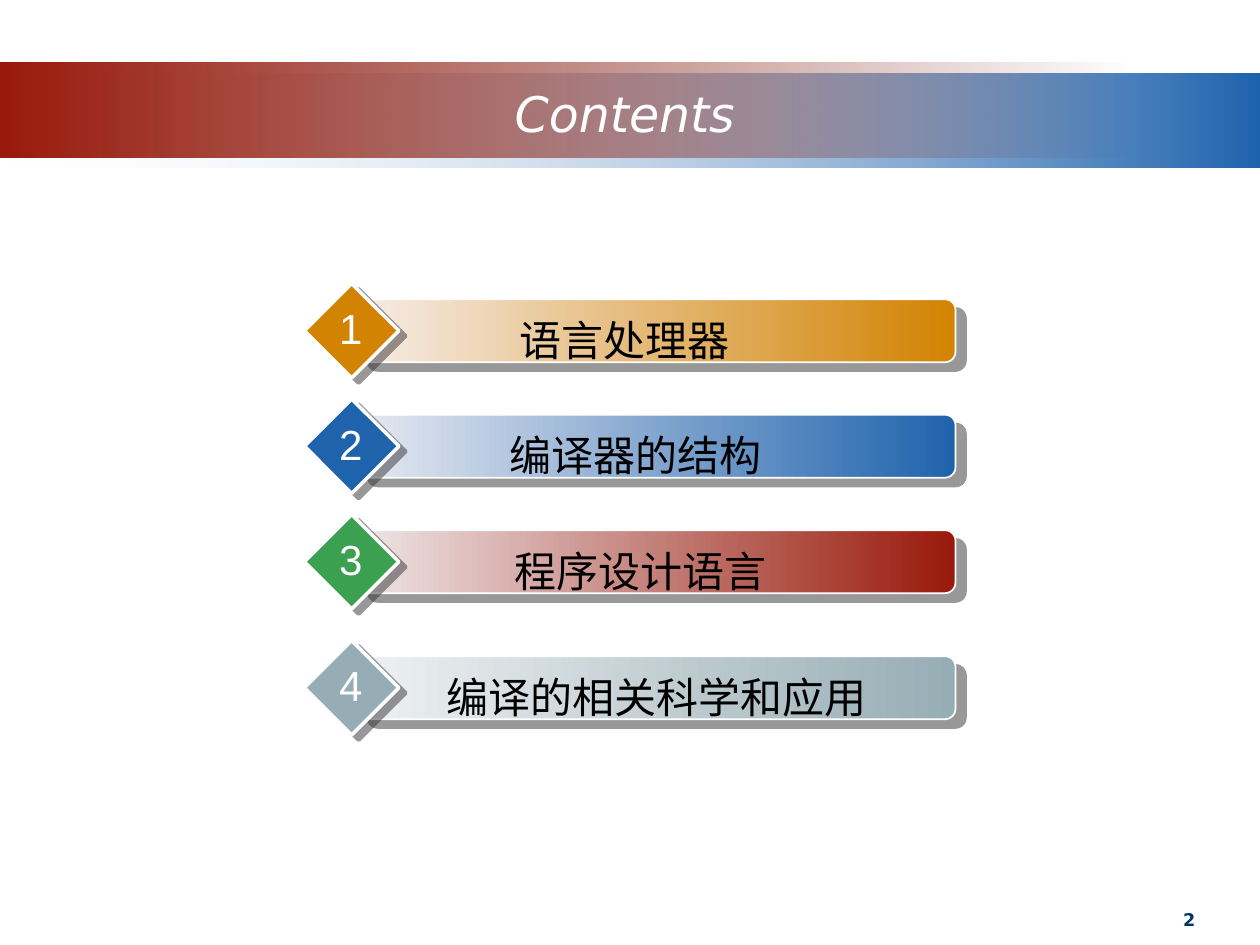
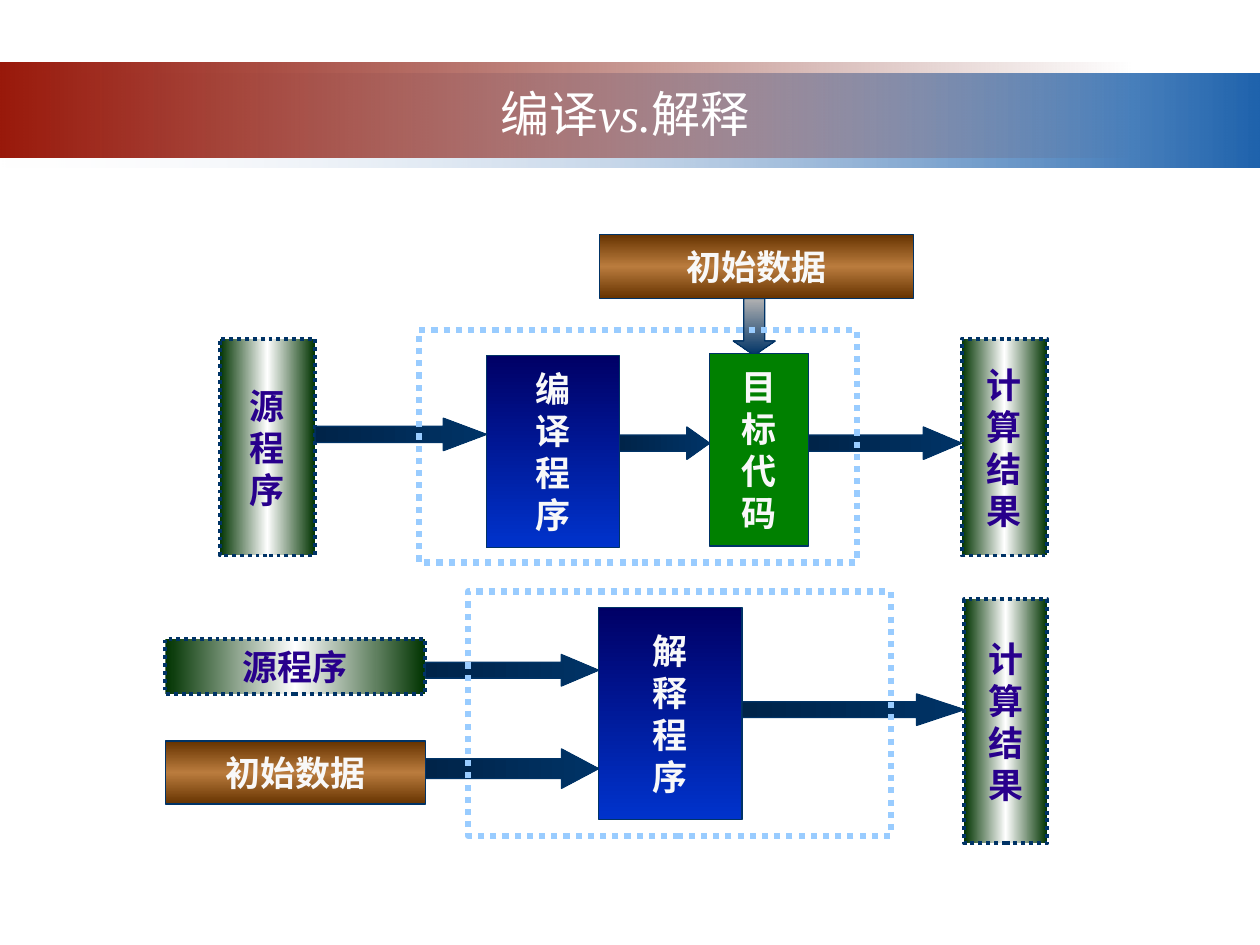
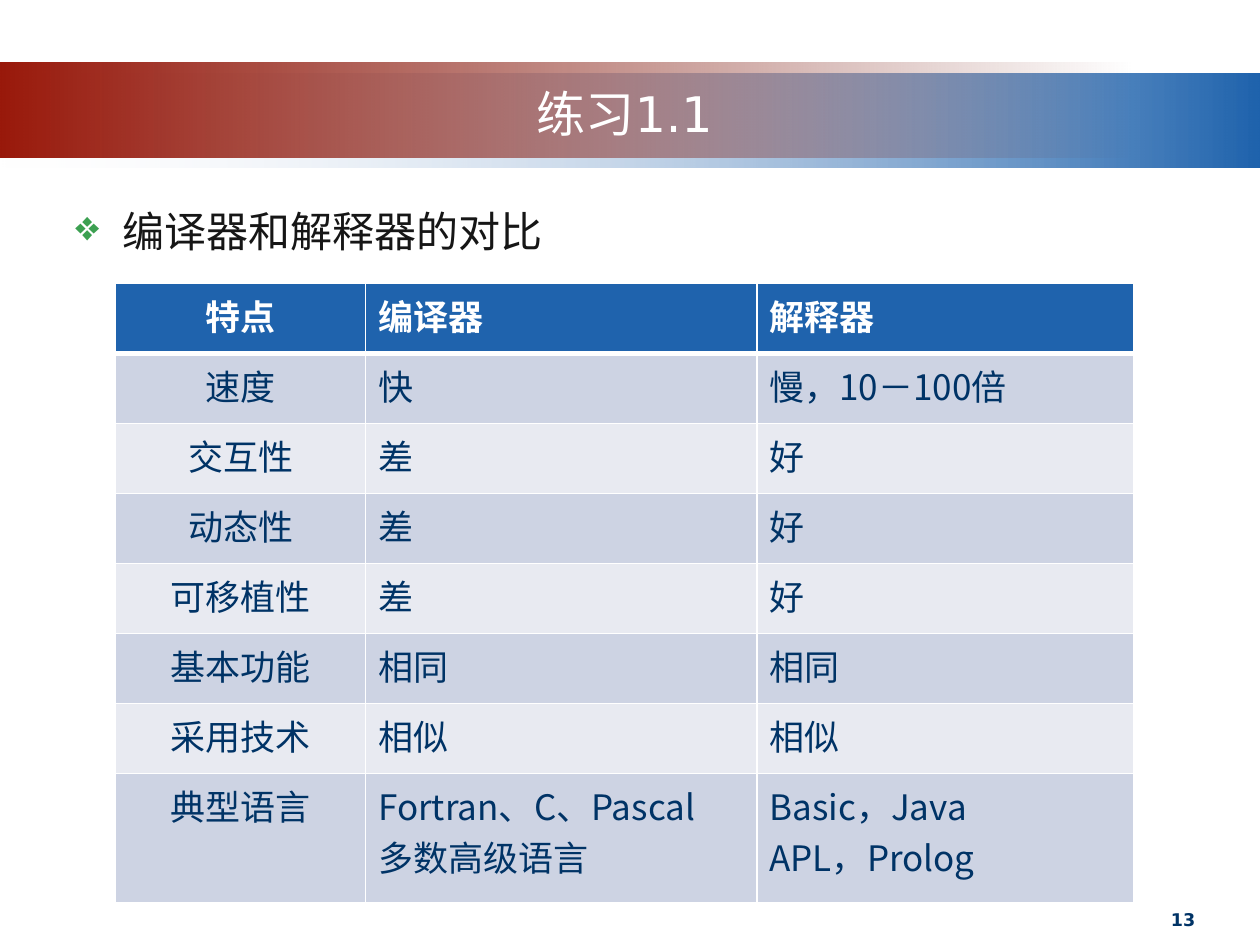
import pptx
import pptx.dml.color
import pptx.enum.dml
import pptx.enum.shapes
import pptx.enum.text
import pptx.oxml.ns
import pptx.util
from lxml import etree

Pt = pptx.util.Pt
RGBColor = pptx.dml.color.RGBColor
SHAPE = pptx.enum.shapes.MSO_SHAPE
ALIGN = pptx.enum.text.PP_ALIGN
ANCHOR = pptx.enum.text.MSO_ANCHOR
SYS_DOT = pptx.enum.dml.MSO_LINE.ROUND_DOT
qn = pptx.oxml.ns.qn

WHITE = RGBColor(0xFF, 0xFF, 0xFF)
BLACK = RGBColor(0, 0, 0)
NAVY = RGBColor(0x00, 0x33, 0x66)
BLUE = RGBColor(0x1F, 0x63, 0xAD)
PALE_BLUE = RGBColor(0xF1, 0xF2, 0xF7)
RED = RGBColor(0x99, 0x19, 0x0B)
DARK_RED = RGBColor(0x6D, 0x12, 0x08)
ORANGE = RGBColor(0xD2, 0x83, 0x02)
GREEN = RGBColor(0x3C, 0xA0, 0x51)
GRAY_BLUE = RGBColor(0x97, 0xAD, 0xB5)
SHADOW = RGBColor(0x33, 0x33, 0x33)
INK = RGBColor(0x16, 0x16, 0x16)
PURPLE = RGBColor(0x28, 0x00, 0x8C)
OFF_WHITE = RGBColor(0xF8, 0xF8, 0xF8)
FOREST = RGBColor(0x00, 0x33, 0x00)
CODE_GREEN = RGBColor(0x00, 0x80, 0x00)
BROWN = RGBColor(0x66, 0x33, 0x00)
TAN = RGBColor(0xBA, 0x7C, 0x3E)
MIDNIGHT = RGBColor(0x00, 0x00, 0x66)
ROYAL = RGBColor(0x00, 0x33, 0xCC)
ARROW_DARK = RGBColor(0x00, 0x24, 0x49)
SILVER = RGBColor(0xB2, 0xB2, 0xB2)
SKY = RGBColor(0x99, 0xCC, 0xFF)
ROW_DARK = RGBColor(0xCD, 0xD3, 0xE3)
ROW_LIGHT = RGBColor(0xE8, 0xEA, 0xF1)

DEJAVU, ARIAL = "DejaVu Sans", "Arial"
TIMES, NOTO = "Times New Roman", "Noto Sans CJK SC"

# Each box role: fill colours, gradient direction, text colour, line width, dash
PROGRAM = ((FOREST, WHITE, FOREST), False, PURPLE, 2.25, SYS_DOT)
DATA = ((BROWN, TAN, BROWN), True, OFF_WHITE, 0.75, None)
TRANSLATOR = ((MIDNIGHT, ROYAL), True, OFF_WHITE, 0.75, None)
TARGET = ((CODE_GREEN,), False, OFF_WHITE, 0.75, None)


def add_color(parent, color, alpha=None):
    node = etree.SubElement(parent, qn("a:srgbClr"), val=str(color))
    if alpha is not None:
        etree.SubElement(node, qn("a:alpha"), val=str(alpha * 1000))


def fill_shape(shape, colors, downward=False, alphas=None):
    """Fill with nothing, one colour, or evenly spaced gradient stops."""
    if not colors:
        shape.fill.background()
    elif len(colors) == 1:
        shape.fill.solid()
        shape.fill.fore_color.rgb = colors[0]
    else:
        shape.fill.gradient()
        shape.fill.gradient_angle = 270 if downward else 0
        stops = shape.element.spPr.find(".//" + qn("a:gsLst"))
        for stop in list(stops):
            stops.remove(stop)
        alphas = alphas or [None] * len(colors)
        for i, (color, alpha) in enumerate(zip(colors, alphas)):
            position = 100000 * i // (len(colors) - 1)
            stop = etree.SubElement(stops, qn("a:gs"), pos=str(position))
            add_color(stop, color, alpha)


def add_figure(slide, kind, at, colors, downward=False, line=None, width=0.75,
               dash=None, alphas=None):
    figure = slide.shapes.add_shape(kind, *map(Pt, at))
    figure.shadow.inherit = False
    fill_shape(figure, colors, downward, alphas)
    if line is None:
        figure.line.fill.background()
    else:
        figure.line.color.rgb = line
        figure.line.width = Pt(width)
        if dash:
            figure.line.dash_style = dash
    return figure


def cast_shadow(shape, distance, angle):
    effects = shape.element.spPr.find(qn("a:effectLst"))
    shadow = etree.SubElement(effects, qn("a:outerShdw"), blurRad="0",
                              dist=str(Pt(distance)), dir=str(angle * 60000),
                              algn="ctr", rotWithShape="0")
    add_color(shadow, SHADOW, 50)


def style(paragraph, size, name, color, bold=False, italic=False, align=None):
    font = paragraph.font
    font.size, font.name = Pt(size), name
    font.bold, font.italic = bold, italic
    font.color.rgb = color
    if align is not None:
        paragraph.alignment = align


def add_text(slide, at, text, size, name, color, bold=False,
             align=ALIGN.CENTER, wrap=True):
    frame = slide.shapes.add_textbox(*map(Pt, at)).text_frame
    frame.word_wrap = wrap
    frame.text = text
    style(frame.paragraphs[0], size, name, color, bold, align=align)


def add_bands(slide, layout):
    """Place the two title bands on the layout, behind its placeholders."""
    blue = add_figure(slide, SHAPE.RECTANGLE, (0, 42, 720, 54),
                      (PALE_BLUE, BLUE), alphas=(0, None))
    red = add_figure(slide, SHAPE.RECTANGLE, (0, 36, 648, 54),
                     (RED, DARK_RED), alphas=(None, 0))
    for position, band in enumerate((blue, red), start=2):
        layout.shapes.element.insert(position, band.element)


def set_title(slide, *parts, italic=False):
    title = slide.shapes.title
    title.left, title.top, title.width, title.height = map(Pt, (66, 42, 582, 44.5))
    frame = title.text_frame
    frame.auto_size = pptx.enum.text.MSO_AUTO_SIZE.NONE
    frame.vertical_anchor = ANCHOR.MIDDLE
    heading = frame.paragraphs[0]
    style(heading, 28, DEJAVU, WHITE, italic=italic, align=ALIGN.CENTER)
    for part in parts:
        run = heading.add_run()
        run.text = part
        if part == "vs.":
            run.font.name, run.font.italic = TIMES, True


def add_page_number(slide, number):
    add_text(slide, (522, 516, 168, 20), number, 10, DEJAVU, NAVY, True, ALIGN.RIGHT)


def add_topic(slide, top, number, topic, label_width, pale, bar_color, diamond_color):
    bar = add_figure(slide, SHAPE.ROUNDED_RECTANGLE, (204, top + 9, 342, 36),
                     (pale, bar_color), line=WHITE, width=1)
    cast_shadow(bar, 7.8, 40)
    diamond = add_figure(slide, SHAPE.DIAMOND, (174, top, 54, 54),
                         (diamond_color,), line=WHITE, width=2)
    cast_shadow(diamond, 5, 37)
    add_text(slide, (222, top + 14, label_width, 36), topic, 24, ARIAL, BLACK)
    add_text(slide, (186.5, top + 7.5, 28, 36), number, 24, ARIAL, WHITE, wrap=False)


def add_box(slide, at, text, role, kind=SHAPE.RECTANGLE, stacked=False, name=TIMES):
    """Add a labelled box; a stacked label has one character a line."""
    colors, downward, text_color, width, dash = role
    box = add_figure(slide, kind, at, colors, downward, NAVY, width, dash)
    frame = box.text_frame
    frame.word_wrap = False
    frame.vertical_anchor = ANCHOR.MIDDLE
    frame.text = "\n".join(text) if stacked else text
    for paragraph in frame.paragraphs:
        if stacked:
            paragraph.line_spacing = Pt(24)
        style(paragraph, 20, name, text_color, True, align=ALIGN.CENTER)


def add_block_arrow(slide, at, head, kind=SHAPE.RIGHT_ARROW,
                    colors=(ARROW_DARK, NAVY), downward=False):
    arrow = add_figure(slide, kind, at, colors, downward, NAVY)
    arrow.adjustments[1] = head


def add_frame(slide, at):
    add_figure(slide, SHAPE.RECTANGLE, at, (), line=SKY, width=3.5, dash=SYS_DOT)


def add_bullet(slide, at, text):
    frame = slide.shapes.add_textbox(*map(Pt, at)).text_frame
    frame.word_wrap = True
    frame.text = text
    point = frame.paragraphs[0]
    point.line_spacing = 1.2
    properties = point._p.get_or_add_pPr()
    properties.set("marL", str(Pt(27)))
    properties.set("indent", str(-Pt(27)))
    add_color(etree.SubElement(properties, qn("a:buClr")), GREEN)
    etree.SubElement(properties, qn("a:buChar"), char="❖")
    style(point, 24, TIMES, INK)


def border_cell(cell, bottom, top):
    properties = cell._tc.get_or_add_tcPr()
    for side, width in (("L", 1), ("R", 1), ("T", top), ("B", bottom)):
        line = etree.SubElement(properties, qn("a:ln" + side), w=str(Pt(width)))
        add_color(etree.SubElement(line, qn("a:solidFill")), WHITE)


def add_comparison(slide, rows):
    heights = [40] * (len(rows) - 1) + [74]
    widths = (143, 223.5, 215.5)
    table = slide.shapes.add_table(len(rows), len(widths), Pt(66), Pt(162),
                                   Pt(sum(widths)), Pt(sum(heights))).table
    for column, width in zip(table.columns, widths):
        column.width = Pt(width)
    for r, (texts, height) in enumerate(zip(rows, heights)):
        table.rows[r].height = Pt(height)
        header = r == 0
        for c, text in enumerate(texts):
            cell = table.cell(r, c)
            border_cell(cell, bottom=3 if header else 1, top=3 if r == 1 else 1)
            cell.fill.solid()
            cell.fill.fore_color.rgb = BLUE if header else (ROW_LIGHT, ROW_DARK)[r % 2]
            cell.text = text
            for paragraph in cell.text_frame.paragraphs:
                style(paragraph, 20, NOTO, WHITE if header else NAVY, header,
                      align=ALIGN.CENTER if c == 0 else ALIGN.LEFT)
                etree.SubElement(paragraph._p.pPr.find(qn("a:defRPr")),
                                 qn("a:ea"), typeface=NOTO)


def build_contents(slide):
    set_title(slide, "Contents", italic=True)
    add_page_number(slide, "2")
    topics = (
        (162, "语言处理器", 270, RGBColor(0xF6, 0xEC, 0xE6), ORANGE, ORANGE),
        (228, "编译器的结构", 282, RGBColor(0xE6, 0xE9, 0xF1), BLUE, BLUE),
        (294, "程序设计语言", 288, RGBColor(0xEE, 0xE6, 0xE6), RED, GREEN),
        (366, "编译的相关科学和应用", 306, RGBColor(0xEE, 0xF1, 0xF2),
         GRAY_BLUE, GRAY_BLUE),
    )
    for number, (top, *topic) in enumerate(topics, start=1):
        add_topic(slide, top, str(number), *topic)


def build_interpreting(slide):
    add_box(slide, (94.5, 365, 148.5, 31.5), "源程序", PROGRAM)
    add_box(slide, (342, 347, 82, 121.5), "解释程序", TRANSLATOR, stacked=True)
    add_block_arrow(slide, (424, 396.5, 127, 18), 1.51)
    add_block_arrow(slide, (243, 428, 99, 22.5), 0.94)
    add_block_arrow(slide, (243, 374, 99, 18), 1.18)
    add_box(slide, (94.5, 423.5, 148.5, 36), "初始数据", DATA, SHAPE.FLOWCHART_PROCESS)
    add_box(slide, (551, 342.5, 47.5, 139.5), "计算结果", PROGRAM, stacked=True)
    add_frame(slide, (267.5, 338, 241.5, 139.5))


def build_compiling(slide):
    add_block_arrow(slide, (353.5, 244, 52, 18.5), 0.7)
    add_box(slide, (125.5, 193.5, 54.5, 124), "源程序", PROGRAM, stacked=True)
    add_box(slide, (278, 203, 76, 110), "编译程序", TRANSLATOR, stacked=True, name=NOTO)
    add_block_arrow(slide, (180, 239, 98, 18.5), 1.33)
    add_block_arrow(slide, (462, 244, 87.5, 18.5), 1.18)
    add_block_arrow(slide, (419, 170.5, 24, 32.5), 0.34, SHAPE.DOWN_ARROW,
                    (SILVER, NAVY), True)
    add_box(slide, (342.5, 134, 179.5, 36.5), "初始数据", DATA, SHAPE.FLOWCHART_PROCESS)
    add_box(slide, (549.5, 193.5, 49, 124), "计算结果", PROGRAM, stacked=True)
    add_frame(slide, (239.5, 188.5, 250, 133))
    add_box(slide, (405.5, 202, 56.5, 110), "目标代码", TARGET, stacked=True, name=NOTO)


def build_exercise(slide):
    set_title(slide, "练习1.1")
    add_bullet(slide, (36, 108, 648, 54), "编译器和解释器的对比")
    add_page_number(slide, "13")
    add_comparison(slide, (
        ("特点", "编译器", "解释器"),
        ("速度", "快", "慢，10－100倍"),
        ("交互性", "差", "好"),
        ("动态性", "差", "好"),
        ("可移植性", "差", "好"),
        ("基本功能", "相同", "相同"),
        ("采用技术", "相似", "相似"),
        ("典型语言", "Fortran、C、Pascal\n多数高级语言", "Basic，Java\nAPL，Prolog"),
    ))


def main():
    deck = pptx.Presentation()
    deck.slide_width, deck.slide_height = Pt(720), Pt(540)
    title_only = deck.slide_layouts[5]
    contents, versus, exercise = (deck.slides.add_slide(title_only) for _ in range(3))
    add_bands(contents, title_only)
    build_contents(contents)
    set_title(versus, "编译", "vs.", "解释")
    build_interpreting(versus)
    build_compiling(versus)
    build_exercise(exercise)
    deck.save("out.pptx")


if __name__ == "__main__":
    main()
